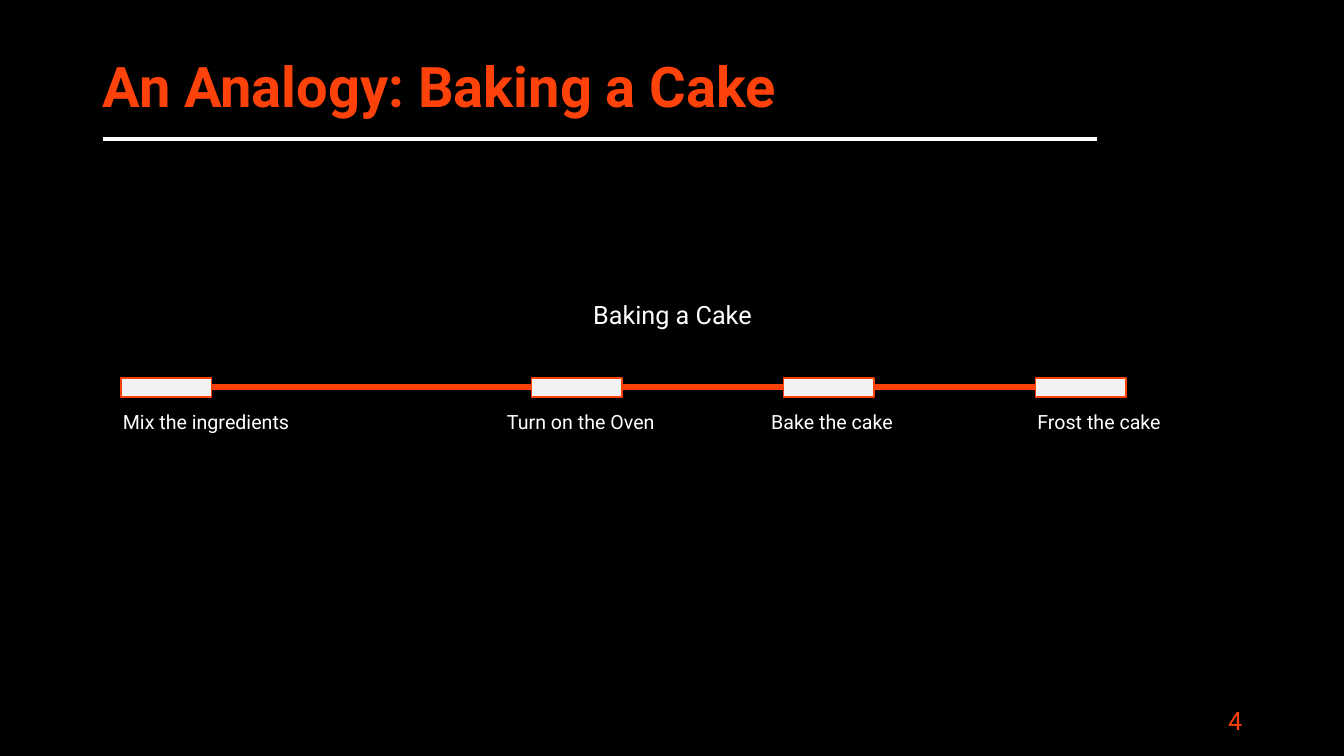
from lxml import etree
from pptx import Presentation, util as u
from pptx.dml.color import RGBColor
from pptx.enum import shapes, text
from pptx.oxml import ns

ORANGE, WHITE, PALE, BLACK = "FF4209", "FFFFFF", "F2F2F2", "000000"
FONT = "Roboto"
WIDTH, HEIGHT = 13.33, 7.5
MARGIN, CONTENT_WIDTH = 0.92, 11.5

# Each step: caption, left edge of its marker, left edge of its caption
STEPS = [
    ("Mix the ingredients", 0, -0.08),
    ("Turn on the Oven", 4.07, 3.73),
    ("Bake the cake", 6.57, 6.35),
    ("Frost the cake", 9.07, 8.99),
]


def paint(color_format, hex_color):
    color_format.rgb = RGBColor.from_string(hex_color)


def add_label(slide, box, words, size, color=WHITE, bold=False, spacing=1.0,
              align=text.PP_ALIGN.LEFT, anchor=text.MSO_ANCHOR.TOP):
    frame = slide.shapes.add_textbox(*map(u.Inches, box)).text_frame
    frame.word_wrap = True
    frame.vertical_anchor = anchor
    paragraph = frame.paragraphs[0]
    paragraph.alignment = align
    paragraph.line_spacing = spacing
    run = paragraph.add_run()
    run.text = words
    formats = {"name": FONT, "size": u.Pt(size), "bold": bold}
    for attribute, value in formats.items():
        setattr(run.font, attribute, value)
    paint(run.font.color, color)


def add_rule(slide, start, end, color, weight, arrow=False):
    rule = slide.shapes.add_connector(
        shapes.MSO_CONNECTOR.STRAIGHT, *map(u.Inches, (*start, *end)))
    rule.line.width = u.Pt(weight)
    paint(rule.line.color, color)
    properties = rule.line._get_or_add_ln()
    if arrow:
        etree.SubElement(properties, ns.qn("a:tailEnd"), type="triangle")
    etree.SubElement(properties.getparent(), ns.qn("a:effectLst"))


def add_header(slide, left, top, width, height):
    add_label(slide, (left, top, width, height), "An Analogy: Baking a Cake", 40,
              ORANGE, bold=True, spacing=0.9, anchor=text.MSO_ANCHOR.MIDDLE)
    bottom = top + height
    add_rule(slide, (left + 9.96, bottom), (left + 0.1, bottom), WHITE, 3)


def add_marker(slide, left, top, width, height):
    marker = slide.shapes.add_shape(
        shapes.MSO_SHAPE.RECTANGLE, *map(u.Inches, (left, top, width, height)))
    marker.shadow.inherit = False
    marker.fill.solid()
    paint(marker.fill.fore_color, PALE)
    marker.line.width = u.Pt(1)
    paint(marker.line.color, ORANGE)


def add_timeline(slide, left, top):
    # Heading and the line through the steps
    add_label(slide, (left + 3.74, top, 3.46, 0.4), "Baking a Cake", 18,
              align=text.PP_ALIGN.CENTER)
    axis = top + 0.92
    add_rule(slide, (left + 0.1, axis), (left + 9.43, axis), ORANGE, 4.5, arrow=True)

    # Markers with captions below
    for caption, marker_left, caption_left in STEPS:
        add_marker(slide, left + marker_left, top + 0.83, 0.9, 0.19)
        add_label(slide, (left + caption_left, top + 1.1, 2.02, 0.34), caption, 14)


def add_page_number(slide, right, top, width, height):
    add_label(slide, (right - width, top, width, height), "4", 18, ORANGE,
              align=text.PP_ALIGN.RIGHT, anchor=text.MSO_ANCHOR.MIDDLE)


def main():
    deck = Presentation()
    deck.slide_width, deck.slide_height = u.Inches(WIDTH), u.Inches(HEIGHT)
    slide = deck.slides.add_slide(deck.slide_layouts[6])
    slide.background.fill.solid()
    paint(slide.background.fill.fore_color, BLACK)

    add_header(slide, MARGIN, 0.4, CONTENT_WIDTH, 0.98)
    add_timeline(slide, 1.2, 2.92)
    add_page_number(slide, MARGIN + CONTENT_WIDTH, 6.95, 3, 0.4)
    deck.save("out.pptx")


if __name__ == "__main__":
    main()
